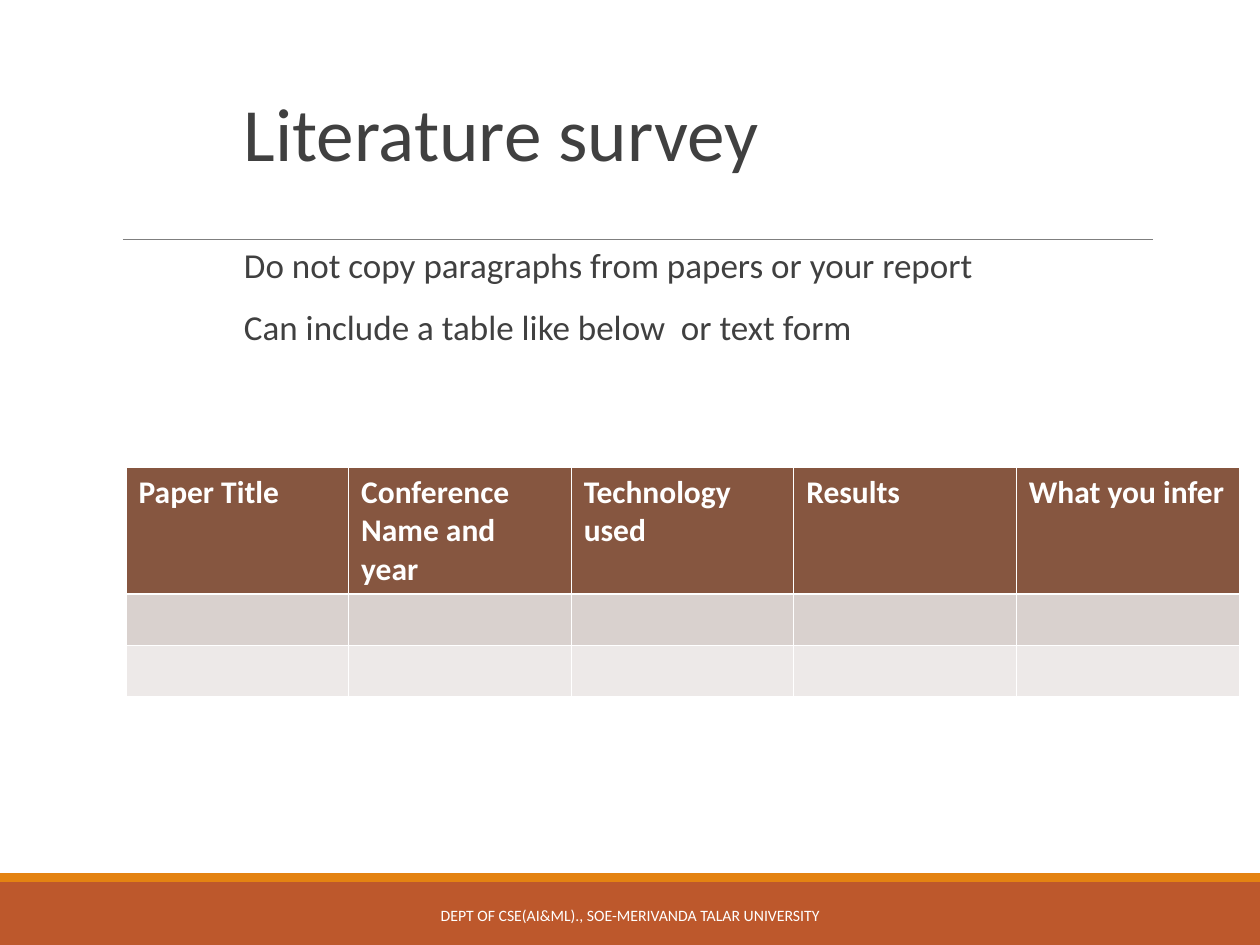
"""Build the literature survey slide with its summary table."""
from lxml.etree import SubElement
from pptx import Presentation
from pptx.dml.color import RGBColor
from pptx.enum.shapes import MSO_CONNECTOR as Connector, MSO_SHAPE as Shape
from pptx.enum.text import MSO_ANCHOR as Anchor, MSO_AUTO_SIZE as AutoSize, PP_ALIGN as Align
from pptx.oxml.ns import qn
from pptx.util import Emu, Pt

WHITE = RGBColor(0xFF, 0xFF, 0xFF)
TEXT = RGBColor(0x40, 0x40, 0x40)
RUST = RGBColor(0xBD, 0x58, 0x2C)
ORANGE = RGBColor(0xE4, 0x83, 0x12)
GRAY = RGBColor(0x7F, 0x7F, 0x7F)
BROWN = RGBColor(0x86, 0x56, 0x40)
BAND_DARK = RGBColor(0xD9, 0xD1, 0xCE)
BAND_LIGHT = RGBColor(0xED, 0xE9, 0xE8)


def px(*lengths):
    return [Emu(round(length * 914400 / 126)) for length in lengths]


def add_run(paragraph, text, size, color, bold=False):
    run = paragraph.add_run()
    run.text = text
    run.font.name = "Calibri"
    run.font.size = Pt(size)
    run.font.bold = bold
    run.font.color.rgb = color


presentation = Presentation()
presentation.slide_width, presentation.slide_height = px(1260, 945)
slide = presentation.slides.add_slide(presentation.slide_layouts[5])
shapes = slide.shapes

for top, height, color in [(882, 63, RUST), (873, 9, ORANGE)]:
    bar = shapes.add_shape(Shape.RECTANGLE, *px(0, top, 1260, height))
    bar.shadow.inherit = False
    bar.fill.solid()
    bar.fill.fore_color.rgb = color
    bar.line.fill.background()

rule = shapes.add_connector(Connector.STRAIGHT, *px(123, 239, 1153, 239))
rule.line.color.rgb = GRAY
rule.line.width = Pt(0.5)
SubElement(rule._element.spPr, qn("a:effectLst"))

title = shapes.title
title.left, title.top, title.width, title.height = px(231, 79, 908, 104)
title.text_frame.auto_size = AutoSize.NONE
title.text_frame.vertical_anchor = Anchor.BOTTOM
paragraph = title.text_frame.paragraphs[0]
paragraph.alignment = Align.LEFT
paragraph.line_spacing = 0.85
add_run(paragraph, "Literature survey", 43, TEXT)

advice = shapes.add_textbox(*px(231, 242, 908, 168)).text_frame
advice.word_wrap = True
advice.margin_right = 0
advice.margin_left = px(13)[0]
advice_lines = [
    "Do not copy paragraphs from papers or your report",
    "Can include a table like below  or text form",
]
for index, line in enumerate(advice_lines):
    paragraph = advice.add_paragraph() if index else advice.paragraphs[0]
    paragraph.line_spacing = 0.9
    paragraph.space_before = Pt(12)
    paragraph.space_after = Pt(2)
    add_run(paragraph, line, 20, TEXT)

headings = ["Paper Title", "Conference Name and year", "Technology used", "Results", "What you infer"]
rows = [(127, BROWN), (51, BAND_DARK), (51, BAND_LIGHT)]
table = shapes.add_table(len(rows), len(headings), *px(126, 467, 1113, 229)).table
for row_index, (height, color) in enumerate(rows):
    table.rows[row_index].height = px(height)[0]
    widths = {
        "lnL": 0.45,
        "lnR": 0.45,
        "lnT": 1.47 if row_index == 1 else 0.45,
        "lnB": 1.47 if row_index == 0 else 0.45,
    }
    for cell in table.rows[row_index].cells:
        properties = cell._tc.get_or_add_tcPr()
        for side, width in widths.items():
            border = SubElement(properties, qn(f"a:{side}"), w=str(Pt(width)))
            fill = SubElement(border, qn("a:solidFill"))
            SubElement(fill, qn("a:srgbClr"), val=str(WHITE))
        cell.fill.solid()
        cell.fill.fore_color.rgb = color
for cell, heading in zip(table.rows[0].cells, headings):
    add_run(cell.text_frame.paragraphs[0], heading, 18, WHITE, bold=True)

footer = shapes.add_textbox(*px(381, 890, 498, 50)).text_frame
footer.word_wrap = True
footer.vertical_anchor = Anchor.MIDDLE
paragraph = footer.paragraphs[0]
paragraph.alignment = Align.CENTER
add_run(paragraph, "DEPT OF CSE(AI&ML)., SOE-MERIVANDA TALAR UNIVERSITY", 9, WHITE)

presentation.save("out.pptx")
